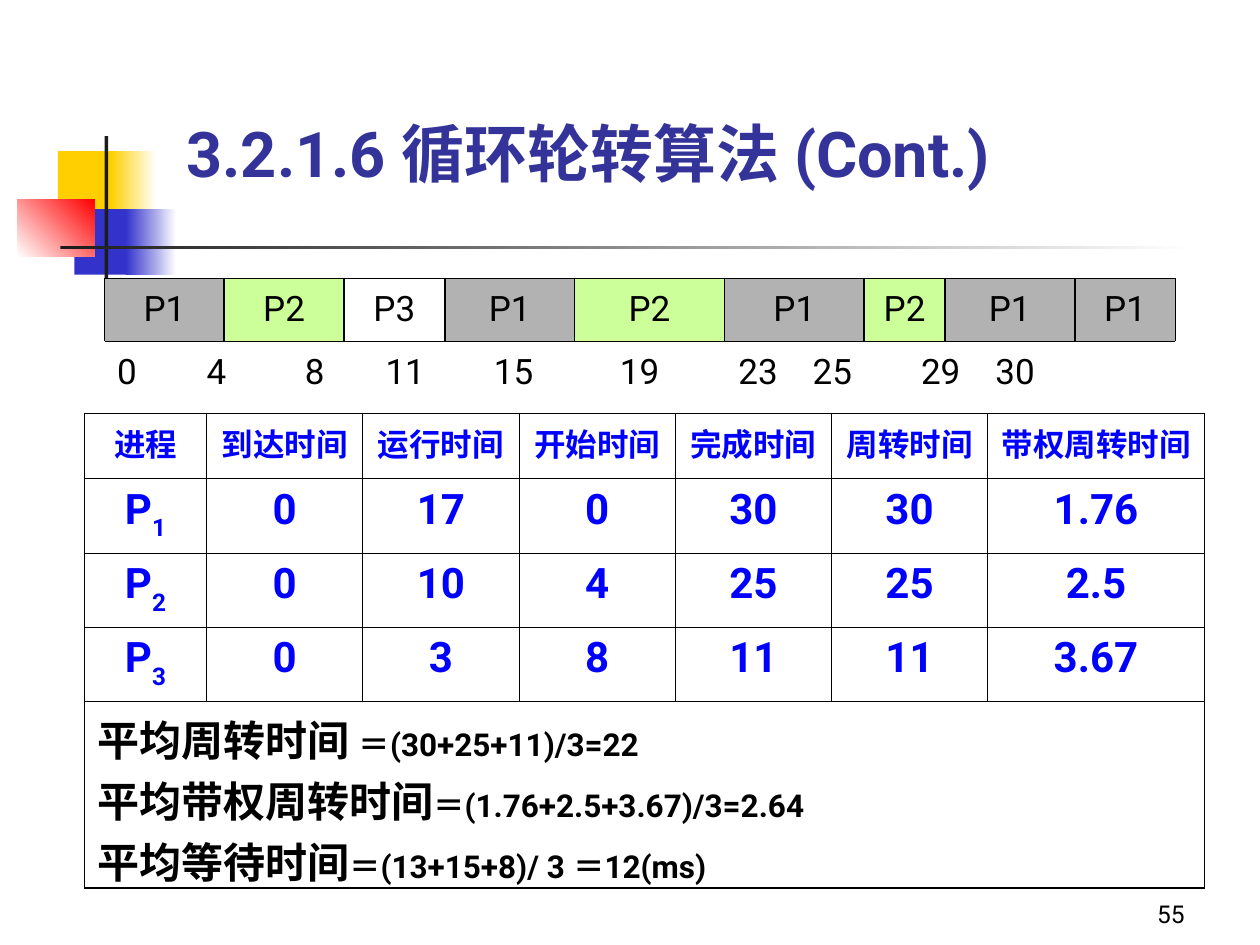
from lxml import etree
from pptx import Presentation
from pptx.dml.color import RGBColor
from pptx.enum.shapes import MSO_SHAPE
from pptx.enum.text import MSO_ANCHOR, MSO_AUTO_SIZE, PP_ALIGN
from pptx.oxml.ns import qn
from pptx.util import Inches, Pt

RECTANGLE = MSO_SHAPE.RECTANGLE
BOTTOM, MIDDLE = MSO_ANCHOR.BOTTOM, MSO_ANCHOR.MIDDLE
LEFT, CENTER, RIGHT = PP_ALIGN.LEFT, PP_ALIGN.CENTER, PP_ALIGN.RIGHT
GROW = MSO_AUTO_SIZE.SHAPE_TO_FIT_TEXT

BLACK = RGBColor(0x00, 0x00, 0x00)
WHITE = RGBColor(0xFF, 0xFF, 0xFF)
YELLOW = RGBColor(0xFF, 0xCF, 0x01)
INDIGO = RGBColor(0x33, 0x33, 0xCC)
RED = RGBColor(0xFF, 0x00, 0x00)
CHARCOAL = RGBColor(0x1C, 0x1C, 0x1C)
TITLE_BLUE = RGBColor(0x33, 0x33, 0x99)
TABLE_BLUE = RGBColor(0x00, 0x00, 0xFF)
GRAY = RGBColor(0xB2, 0xB2, 0xB2)
GREEN = RGBColor(0xCC, 0xFF, 0x99)

SANS, SERIF = "Roboto", "Times New Roman"

ORNAMENTS = [
    ((0.46, 1.2, 0.48, 0.52), [YELLOW], 0),
    ((0.88, 1.2, 0.36, 0.52), [YELLOW, WHITE], 0),
    ((0.59, 1.66, 0.46, 0.52), [INDIGO], 0),
    ((1, 1.66, 0.4, 0.52), [INDIGO, WHITE], 0),
    ((0.14, 1.58, 0.61, 0.46), [WHITE, RED], 45),
    ((0.83, 1.08, 0.03, 1.15), [CHARCOAL], 0),
    ((0.48, 1.95, 9, 0.03), [CHARCOAL, WHITE], 0),
]

HEADINGS = ["进程", "到达时间", "运行时间", "开始时间", "完成时间", "周转时间", "带权周转时间"]
PROCESSES = [
    ["P1", "0", "17", "0", "30", "30", "1.76"],
    ["P2", "0", "10", "4", "25", "25", "2.5"],
    ["P3", "0", "3", "8", "11", "11", "3.67"],
]
AVERAGES = [
    ("平均周转时间 ", "＝(30+25+11)/3=22"),
    ("平均带权周转时间", "＝(1.76+2.5+3.67)/3=2.64"),
    ("平均等待时间", "＝(13+15+8)/ 3 ＝12(ms)"),
]

SLICES = [("P1", 0.95), ("P2", 0.95), ("P3", 0.8), ("P1", 1.03), ("P2", 1.19),
          ("P1", 1.11), ("P2", 0.64), ("P1", 1.03), ("P1", 0.8)]
SLICE_FILLS = {"P1": GRAY, "P2": GREEN, "P3": WHITE}
TIMES = ["0", "4", "8", "11", "15", "19", "23", "25", "29", "30"]
TIME_TABS = [0.71, 1.49, 2.13, 2.99, 3.99, 4.93, 5.52, 6.38, 6.97]


def style(paragraph, size, color, bold=False, name=SANS, align=LEFT):
    paragraph.alignment = align
    font = paragraph.font
    font.size, font.bold, font.name = Pt(size), bold, name
    font.color.rgb = color


def add_ornament(slide, box, colors, angle):
    block = slide.shapes.add_shape(RECTANGLE, *map(Inches, box))
    block.shadow.inherit = False
    block.line.fill.background()
    if len(colors) == 1:
        block.fill.solid()
        block.fill.fore_color.rgb = colors[0]
        return
    block.fill.gradient()
    block.fill.gradient_angle = angle
    for stop, color in zip(block.fill.gradient_stops, colors):
        stop.color.rgb = color


def set_title(slide, text):
    title = slide.shapes.title
    title.left, title.top, title.width, title.height = map(Inches, (1.48, 0.91, 7.07, 0.6))
    frame = title.text_frame
    frame.text = text
    frame.margin_left = frame.margin_right = frame.margin_top = frame.margin_bottom = 0
    frame.vertical_anchor = BOTTOM
    frame.auto_size = GROW
    style(frame.paragraphs[0], 36, TITLE_BLUE, bold=True)


def add_grid(slide, left, top, columns, rows):
    frame = slide.shapes.add_table(len(rows), len(columns), Inches(left), Inches(top),
                                   Inches(sum(columns)), Inches(sum(rows)))
    grid = frame.table
    grid.first_row = grid.horz_banding = False
    for column, width in zip(grid.columns, columns):
        column.width = Inches(width)
    for row, height in zip(grid.rows, rows):
        row.height = Inches(height)
    last = len(rows) - 1
    grid.cell(last, 0).merge(grid.cell(last, len(columns) - 1))
    return grid


def finish_cell(cell, borders, fill=None):
    properties = cell._tc.get_or_add_tcPr()
    for side in "LRTB":
        if side in borders:
            line = etree.SubElement(properties, qn(f"a:ln{side}"), w=str(Pt(borders[side])))
            color = etree.SubElement(etree.SubElement(line, qn("a:solidFill")), qn("a:srgbClr"))
            color.set("val", str(BLACK))
    if fill is None:
        cell.fill.background()
    else:
        cell.fill.solid()
        cell.fill.fore_color.rgb = fill


def add_tabs(paragraph, positions):
    tabs = etree.SubElement(paragraph._p.get_or_add_pPr(), qn("a:tabLst"))
    for position in positions:
        etree.SubElement(tabs, qn("a:tab"), pos=str(Inches(position)), algn="l")


def write_process(paragraph, label):
    paragraph.add_run().text = label[0]
    number = paragraph.add_run()
    number.text = label[1:]
    number._r.get_or_add_rPr().set("baseline", "-30000")


def write_averages(cell):
    frame = cell.text_frame
    for index, (label, formula) in enumerate(AVERAGES):
        paragraph = frame.add_paragraph() if index else frame.paragraphs[0]
        style(paragraph, 24, BLACK, bold=True)
        paragraph.add_run().text = label
        result = paragraph.add_run()
        result.text = formula
        result.font.size = Pt(18)


def add_results(slide):
    grid = add_grid(slide, 0.67, 3.28, [0.97] + [1.24] * 5 + [1.72],
                    [0.52] + [0.59] * 3 + [1.48])
    for r, values in enumerate([HEADINGS] + PROCESSES):
        for c, value in enumerate(values):
            paragraph = grid.cell(r, c).text_frame.paragraphs[0]
            if r and c == 0:
                write_process(paragraph, value)
            else:
                paragraph.text = value
            size, name = (24, SANS) if r else (18, SERIF)
            style(paragraph, size, TABLE_BLUE, bold=True, name=name, align=CENTER)
    write_averages(grid.cell(4, 0))
    for r in range(5):
        for c in range(7):
            cell = grid.cell(r, c)
            borders = {"T": 0.96 if r < 2 else 0.45, "B": 0.96 if r in (0, 4) else 0.45}
            if not cell.is_spanned:
                borders.update(L=0.45, R=0.45)
            finish_cell(cell, borders)


def add_timeline(slide):
    grid = add_grid(slide, 0.83, 2.21, [width for _, width in SLICES], [0.5, 0.49])
    for c, (process, _) in enumerate(SLICES):
        cell = grid.cell(0, c)
        cell.text = process
        cell.vertical_anchor = MIDDLE
        style(cell.text_frame.paragraphs[0], 20, BLACK, align=CENTER)
        finish_cell(cell, dict.fromkeys("LRTB", 1.08), SLICE_FILLS[process])
        finish_cell(grid.cell(1, c), {"T": 1.08})
    ruler = grid.cell(1, 0)
    ruler.text = "\t".join(TIMES)
    ruler.vertical_anchor = MIDDLE
    marks = ruler.text_frame.paragraphs[0]
    add_tabs(marks, TIME_TABS)
    style(marks, 20, BLACK)


def add_page_number(slide, number):
    frame = slide.shapes.add_textbox(*map(Inches, (7.42, 6.92, 2.08, 0.5))).text_frame
    frame.word_wrap = True
    frame.vertical_anchor = BOTTOM
    frame.text = number
    style(frame.paragraphs[0], 14, BLACK, align=RIGHT)


def main():
    deck = Presentation()
    deck.slide_width, deck.slide_height = Inches(10), Inches(7.5)
    slide = deck.slides.add_slide(deck.slide_layouts[5])
    for box, colors, angle in ORNAMENTS:
        add_ornament(slide, box, colors, angle)
    set_title(slide, "3.2.1.6 循环轮转算法 (Cont.)")
    add_results(slide)
    add_timeline(slide)
    add_page_number(slide, "55")
    deck.save("out.pptx")


if __name__ == "__main__":
    main()
